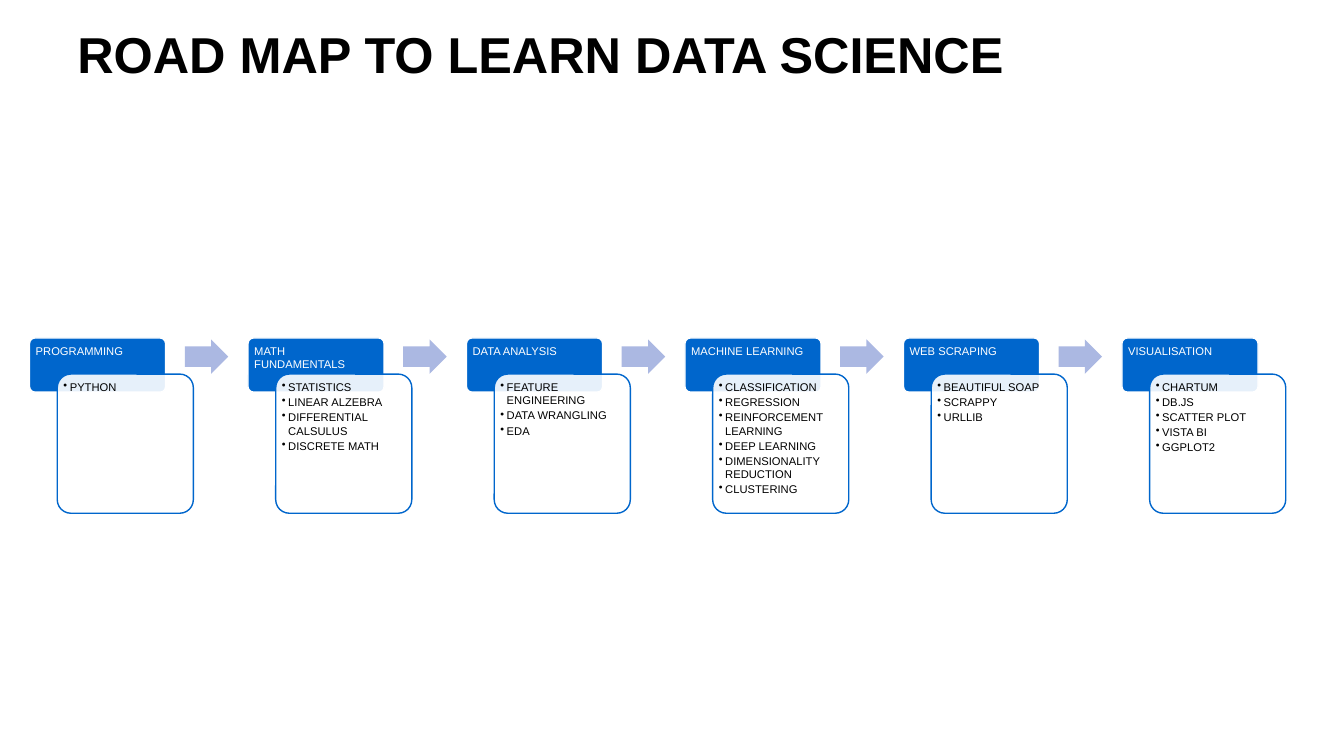
from lxml.etree import SubElement
from pptx import Presentation
from pptx.dml.color import RGBColor
from pptx.enum.shapes import MSO_SHAPE
from pptx.enum.text import MSO_ANCHOR, MSO_AUTO_SIZE, PP_ALIGN
from pptx.oxml.ns import qn
from pptx.util import Pt

# Content
TITLE = "ROAD MAP TO LEARN DATA SCIENCE"
STAGES = [
    ("PROGRAMMING", ["PYTHON"]),
    ("MATH FUNDAMENTALS", ["STATISTICS", "LINEAR ALZEBRA", "DIFFERENTIAL CALSULUS",
                           "DISCRETE MATH"]),
    ("DATA ANALYSIS", ["FEATURE ENGINEERING", "DATA WRANGLING", "EDA"]),
    ("MACHINE LEARNING", ["CLASSIFICATION", "REGRESSION", "REINFORCEMENT LEARNING",
                          "DEEP LEARNING", "DIMENSIONALITY REDUCTION", "CLUSTERING"]),
    ("WEB SCRAPING", ["BEAUTIFUL SOAP", "SCRAPPY", "URLLIB"]),
    ("VISUALISATION", ["CHARTUM", "DB.JS", "SCATTER PLOT", "VISTA BI", "GGPLOT2"]),
]

# Look
BLUE = RGBColor(0x00, 0x66, 0xCC)
PALE_BLUE = RGBColor(0xAB, 0xB8, 0xE2)
WHITE = RGBColor(0xFF, 0xFF, 0xFF)
BLACK = RGBColor(0x00, 0x00, 0x00)
FONT = "Arial"

# Layout in points
LEFT, TOP, PITCH = 21.1, 241.4, 156.06
STAGE_WIDTH, HEADER_HEIGHT, CARD_HEIGHT = 97.2, 38.7, 99.4
CARD_SHIFT_X, CARD_SHIFT_Y = 19.8, 25.8
ARROW_SHIFT_X, ARROW_SHIFT_Y, ARROW_WIDTH, ARROW_HEIGHT = 110.9, 1.1, 31, 24.5
CORNER, PADDING, BULLET_INDENT = 0.1, 4.4, 4.5
CORNER_INSET = 0.29  # share of the corner radius that a round box adds to its margins


def add_box(page, kind, left, top, width, height, fill, line=None):
    box = page.shapes.add_shape(kind, Pt(left), Pt(top), Pt(width), Pt(height))
    box.shadow.inherit = False
    box.fill.solid()
    box.fill.fore_color.rgb = fill
    if line is None:
        box.line.fill.background()
    else:
        box.line.color.rgb = line
        box.line.width = Pt(1)
    return box


def add_round_box(page, left, top, height, fill, line):
    box = add_box(page, MSO_SHAPE.ROUNDED_RECTANGLE, left, top, STAGE_WIDTH, height, fill, line)
    box.adjustments[0] = CORNER
    frame = box.text_frame
    frame.word_wrap = True
    frame.vertical_anchor = MSO_ANCHOR.TOP
    margin = Pt(PADDING - CORNER_INSET * CORNER * min(STAGE_WIDTH, height))
    frame.margin_left = frame.margin_right = margin
    frame.margin_top = frame.margin_bottom = margin
    return box


def write(frame, lines, size=8, color=BLACK, bold=False, bullet=False, space_after=0):
    for number, text in enumerate(lines):
        para = frame.add_paragraph() if number else frame.paragraphs[0]
        para.alignment = PP_ALIGN.LEFT
        para.space_before = Pt(0)
        para.space_after = Pt(space_after)
        if bullet:
            para.level = 1
            properties = para._p.get_or_add_pPr()
            properties.set("marL", str(Pt(BULLET_INDENT)))
            properties.set("indent", str(-Pt(BULLET_INDENT)))
            SubElement(properties, qn("a:buChar"), char="•")
        span = para.add_run()
        span.text = text
        span.font.name = FONT
        span.font.size = Pt(size)
        span.font.bold = bold
        span.font.color.rgb = color


def main():
    deck = Presentation()
    deck.slide_width, deck.slide_height = Pt(960), Pt(540)
    page = deck.slides.add_slide(deck.slide_layouts[5])

    # Title
    title = page.shapes.title
    title.left, title.top, title.width, title.height = Pt(48), Pt(15.4), Pt(864), Pt(46)
    title.text_frame.auto_size = MSO_AUTO_SIZE.NONE
    title.text_frame.vertical_anchor = MSO_ANCHOR.MIDDLE
    write(title.text_frame, [TITLE], size=36, bold=True)

    for number, (name, topics) in enumerate(STAGES):
        left = LEFT + number * PITCH

        # Stage header
        header = add_round_box(page, left, TOP, HEADER_HEIGHT, BLUE, WHITE)
        write(header.text_frame, [name], color=WHITE)

        # Topic card, slightly see-through
        card = add_round_box(page, left + CARD_SHIFT_X, TOP + CARD_SHIFT_Y, CARD_HEIGHT,
                             WHITE, BLUE)
        card_color = card.fill._xPr.find(qn("a:solidFill")).find(qn("a:srgbClr"))
        SubElement(card_color, qn("a:alpha"), val="90000")
        write(card.text_frame, topics, bullet=True, space_after=1.2)

        # Arrow to the next stage
        if number < len(STAGES) - 1:
            arrow = add_box(page, MSO_SHAPE.RIGHT_ARROW, left + ARROW_SHIFT_X,
                            TOP + ARROW_SHIFT_Y, ARROW_WIDTH, ARROW_HEIGHT, PALE_BLUE)
            arrow.adjustments[0] = 0.6

    deck.save("out.pptx")


if __name__ == "__main__":
    main()
